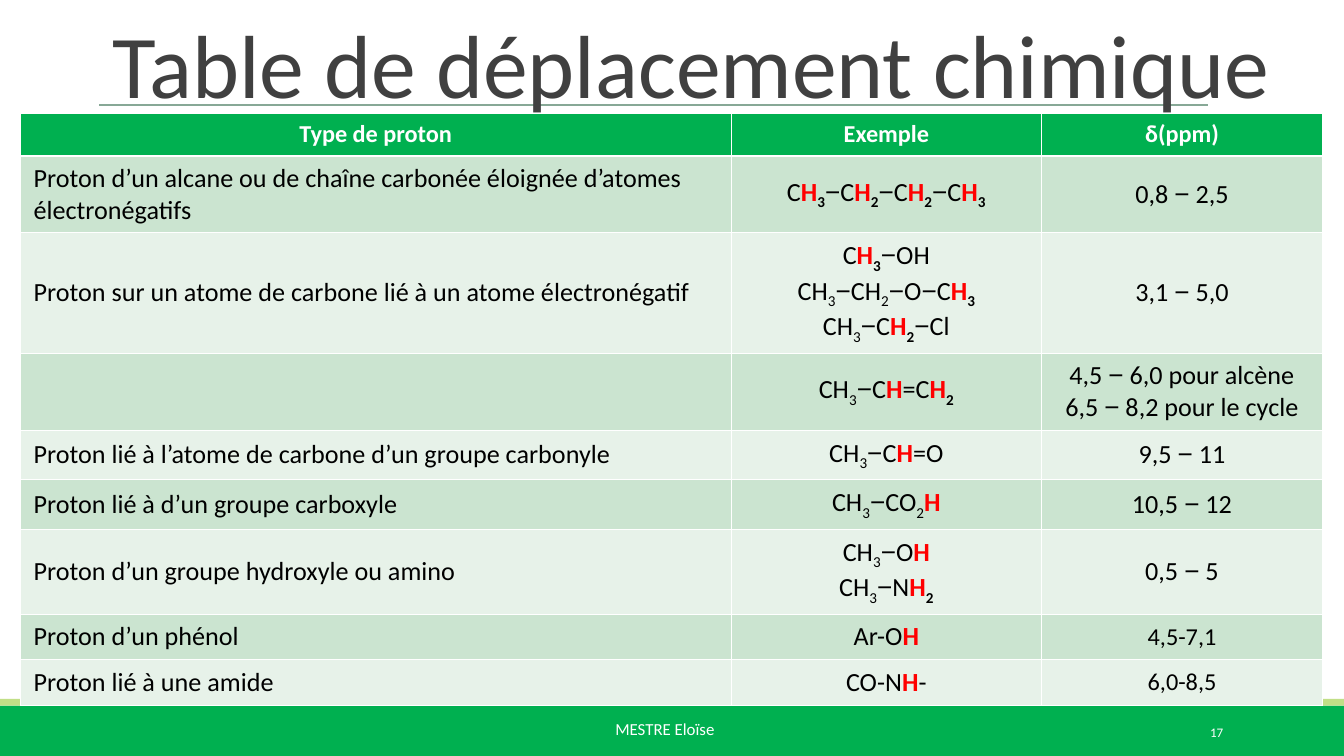
from itertools import groupby

from lxml import etree
from pptx import Presentation
from pptx.dml.color import RGBColor
from pptx.enum.shapes import MSO_CONNECTOR, MSO_SHAPE
from pptx.enum.text import MSO_ANCHOR as Anchor, PP_ALIGN as Align
from pptx.oxml.ns import qn
from pptx.util import Inches, Pt

COLORS = {"green": "00B050", "lime": "C1DF87", "rule": "87A896", "title": "404040",
          "band": "CBE4D0", "pale": "E7F2E9", "white": "FFFFFF", "black": "000000",
          "proton": "FF0000"}
FONT, MINUS_FONT = "Calibri", "Arial"
COLUMN_WIDTHS = [5.29, 2.31, 2.09]
ROW_HEIGHTS = [0.32, 0.57, 0.9, 0.57, 0.37, 0.37, 0.63, 0.34, 0.34]
HEADERS = ["Type de proton", "Exemple", "δ(ppm)"]

# Type, example formulas (the protons concerned between asterisks), shifts, shift size
ROWS = [
    ("Proton d’un alcane ou de chaîne carbonée éloignée d’atomes électronégatifs",
     "C*H3*−C*H2*−C*H2*−C*H3*", "0,8 − 2,5", 14),
    ("Proton sur un atome de carbone lié à un atome électronégatif",
     "C*H3*−OH\nCH3−CH2−O−C*H3*\nCH3−C*H2*−Cl", "3,1 − 5,0", 14),
    ("", "CH3−C*H*=C*H2*", "4,5 − 6,0 pour alcène\n6,5 − 8,2 pour le cycle", 14),
    ("Proton lié à l’atome de carbone d’un groupe carbonyle", "CH3−C*H*=O", "9,5 − 11", 14),
    ("Proton lié à d’un groupe carboxyle", "CH3−CO2*H*", "10,5 − 12", 14),
    ("Proton d’un groupe hydroxyle ou amino", "CH3−O*H*\nCH3−N*H2*", "0,5 − 5", 14),
    ("Proton d’un phénol", "Ar-O*H*", "4,5-7,1", 13),
    ("Proton lié à une amide", "CO-N*H*-", "6,0-8,5", 13),
]


def rgb(name):
    return RGBColor.from_string(COLORS[name])


def style(font, size, color, bold=False, name=FONT):
    font.size, font.bold, font.name = Pt(size), bold, name
    font.color.rgb = rgb(color)


def write_line(para, line, size, color="black", bold=False, formula=False):
    """Write one line, with long minus signs, subscripts and marked protons."""
    marked, letters = False, []
    for char in line:
        if char == "*":
            marked = not marked
        else:
            letters.append((char, marked, formula and char.isdigit(), char == "−"))
    for (marked, subscript, minus), group in groupby(letters, key=lambda item: item[1:]):
        span = para.add_run()
        span.text = "".join(item[0] for item in group)
        style(span.font, size, "proton" if marked and not subscript else color,
              bold or marked, MINUS_FONT if minus else FONT)
        if subscript:
            span.font._element.set("baseline", "-25000")


def add_text(page, left, top, width, height, text, size, color,
             align=Align.LEFT, anchor=Anchor.TOP, wrap=True):
    box = page.shapes.add_textbox(Inches(left), Inches(top), Inches(width), Inches(height))
    frame = box.text_frame
    frame.text = text
    frame.word_wrap, frame.vertical_anchor = wrap, anchor
    para = frame.paragraphs[0]
    para.alignment = align
    style(para.runs[0].font, size, color)
    return para


def add_bar(page, left, top, width, height, color):
    bar = page.shapes.add_shape(MSO_SHAPE.RECTANGLE, Inches(left), Inches(top),
                                Inches(width), Inches(height))
    bar.shadow.inherit = False
    bar.fill.solid()
    bar.fill.fore_color.rgb = rgb(color)
    bar.line.fill.background()


def add_footer(page, left, top, width, height):
    add_bar(page, left, top + 0.05, width, height - 0.05, "green")
    add_bar(page, left, top, width, 0.05, "lime")
    add_text(page, left + 4.48, top + 0.1, 1.04, 0.4, "MESTRE Eloïse", 9, "white", wrap=False)
    add_text(page, left + 8.12, top + 0.1, 1.08, 0.3, "17", 7, "white",
             Align.RIGHT, Anchor.MIDDLE)


def add_title(page, left, top, width, height):
    line_top = Inches(top + 0.62)
    rule = page.shapes.add_connector(MSO_CONNECTOR.STRAIGHT, Inches(left), line_top,
                                     Inches(left + 8.25), line_top)
    rule.line.color.rgb = rgb("rule")
    rule.line.width = Pt(1)
    etree.SubElement(rule._element.spPr, qn("a:effectLst"))
    para = add_text(page, left, top, width, height, "Table de déplacement chimique",
                    48, "title", anchor=Anchor.BOTTOM)
    para.line_spacing = 0.85


def set_borders(cell, top, bottom):
    properties = cell._tc.get_or_add_tcPr()
    sides = {"lnL": 0.45, "lnR": 0.45, "lnT": top, "lnB": bottom}
    for index, (side, width) in enumerate(sides.items()):
        line = etree.Element(qn(f"a:{side}"), w=str(int(Pt(width))))
        fill = etree.SubElement(line, qn("a:solidFill"))
        etree.SubElement(fill, qn("a:srgbClr"), val=COLORS["white"])
        properties.insert(index, line)


def fill_cell(cell, text, fill, align, **text_style):
    cell.fill.solid()
    cell.fill.fore_color.rgb = rgb(fill)
    cell.vertical_anchor = Anchor.MIDDLE
    frame = cell.text_frame
    for index, line in enumerate(text.split("\n")):
        para = frame.add_paragraph() if index else frame.paragraphs[0]
        para.alignment = align
        write_line(para, line, **text_style)


def add_shift_table(page, left, top, width, height):
    table = page.shapes.add_table(len(ROW_HEIGHTS), len(COLUMN_WIDTHS), Inches(left),
                                  Inches(top), Inches(width), Inches(height)).table
    for column, column_width in zip(table.columns, COLUMN_WIDTHS):
        column.width = Inches(column_width)
    for row, row_height in zip(table.rows, ROW_HEIGHTS):
        row.height = Inches(row_height)

    # Header
    for column, header in enumerate(HEADERS):
        cell = table.cell(0, column)
        fill_cell(cell, header, "green", Align.CENTER, size=13, color="white", bold=True)
        set_borders(cell, 0.45, 1.47)

    # Banded rows
    for row, (kind, formulas, shifts, shift_size) in enumerate(ROWS, start=1):
        fill = "band" if row % 2 else "pale"
        fill_cell(table.cell(row, 0), kind, fill, Align.LEFT, size=14)
        fill_cell(table.cell(row, 1), formulas, fill, Align.CENTER, size=14, formula=True)
        fill_cell(table.cell(row, 2), shifts, fill, Align.CENTER, size=shift_size)
        for column in range(len(COLUMN_WIDTHS)):
            set_borders(table.cell(row, column), 1.47 if row == 1 else 0.45, 0.45)


def main():
    deck = Presentation()
    # Widescreen page, 16:9
    deck.slide_width = Inches(10)
    deck.slide_height = deck.slide_width * 9 // 16
    page = deck.slides.add_slide(deck.slide_layouts[6])
    add_footer(page, 0, 5.2, 10, 0.43)
    add_title(page, 0.74, 0.16, 9.69, 0.76)
    add_shift_table(page, 0.15, 0.84, sum(COLUMN_WIDTHS), 4.33)
    deck.save("out.pptx")


if __name__ == "__main__":
    main()
